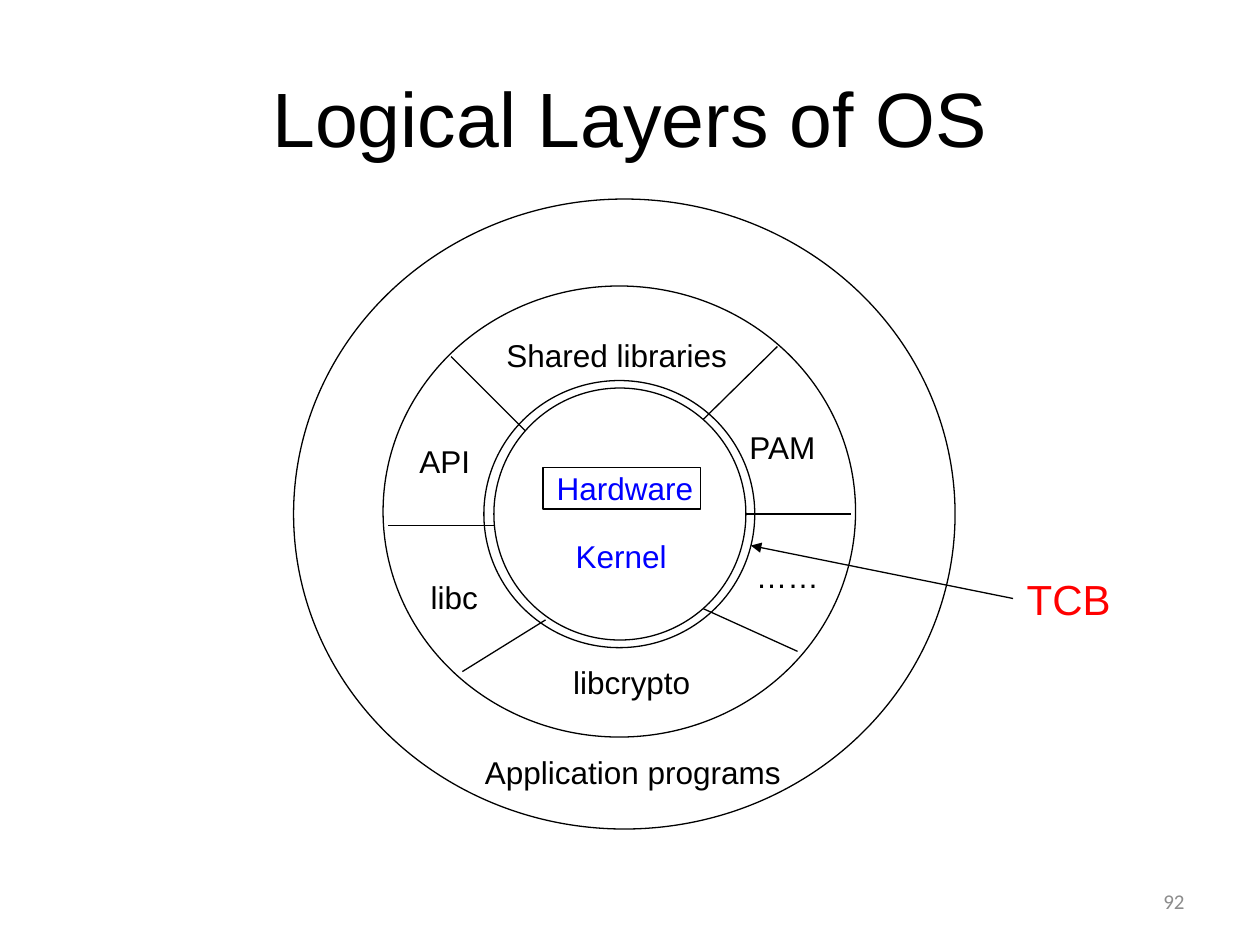
from lxml import etree
from pptx import Presentation
from pptx.dml.color import RGBColor
from pptx.enum import shapes, text
from pptx.oxml import ns
from pptx.util import Inches, Pt

THEME = {
    "font": "Arial", "number_font": "Calibri",
    "black": "000000", "blue": "0000FF", "red": "FF0000", "gray": "8C8C8C",
    "title": 44, "callout": 24, "label": 18, "number": 12, "line": 0.75,
}

TITLE = "Logical Layers of OS"
RINGS = [
    (2.33, 1.58, 5.25, 5),
    (3.04, 2.27, 3.75, 3.58),
    (3.84, 3.02, 2.15, 2.12),
    (3.92, 3.08, 2, 2),
]
HARDWARE_BOX = (4.31, 3.71, 1.25, 0.33)
DIVIDERS = [
    (3.58, 2.83, 4.17, 3.42),
    (5.58, 3.33, 6.17, 2.75),
    (3.08, 4.17, 3.92, 4.17),
    (5.92, 4.08, 6.75, 4.08),
    (4.33, 4.92, 3.67, 5.33),
    (5.58, 4.83, 6.33, 5.17),
]
TCB_ARROW = (8.04, 4.75, 5.96, 4.33)
LABELS = [
    ("Hardware", (4.32, 3.67, 1.32, 0.4), "label", "blue"),
    ("Kernel", (4.47, 4.21, 0.92, 0.4), "label", "blue"),
    ("Shared libraries", (3.92, 2.62, 1.95, 0.4), "label", "black"),
    ("API", (3.23, 3.46, 0.6, 0.4), "label", "black"),
    ("libc", (3.32, 4.54, 0.58, 0.4), "label", "black"),
    ("libcrypto", (4.45, 5.21, 1.13, 0.4), "label", "black"),
    ("PAM", (5.85, 3.35, 0.74, 0.4), "label", "black"),
    ("……", (5.9, 4.37, 0.7, 0.4), "label", "black"),
    ("Application programs", (3.75, 5.93, 2.55, 0.4), "label", "black"),
    ("TCB", (8.05, 4.5, 0.87, 0.5), "callout", "red"),
]
PAGE_NUMBER = ("92", (7.17, 6.95, 2.33, 0.4))


def inches(values):
    return [Inches(v) for v in values]


def color(name):
    return RGBColor.from_string(THEME[name])


def write(sp, words, size, ink, font="font", align=None):
    tf = sp.text_frame
    tf.text = words
    p = tf.paragraphs[0]
    p.alignment = align
    f = p.runs[0].font
    f.name, f.size, f.color.rgb = THEME[font], Pt(THEME[size]), color(ink)
    return tf


def stroke(sp):
    sp.line.color.rgb = color("black")
    sp.line.width = Pt(THEME["line"])


def add_outline(parent, kind, box):
    sp = parent.add_shape(kind, *inches(box))
    sp.shadow.inherit = False
    sp.fill.background()
    stroke(sp)


def add_line(parent, ends, arrow=False):
    sp = parent.add_connector(shapes.MSO_CONNECTOR.STRAIGHT, *inches(ends))
    stroke(sp)
    if arrow:
        etree.SubElement(sp.line._get_or_add_ln(), ns.qn("a:tailEnd"), type="triangle")
    etree.SubElement(sp._element.spPr, ns.qn("a:effectLst"))


def add_label(parent, words, box, size, ink):
    sp = parent.add_textbox(*inches(box))
    tf = write(sp, words, size, ink, align=text.PP_ALIGN.LEFT)
    tf.word_wrap = False
    tf.auto_size = text.MSO_AUTO_SIZE.SHAPE_TO_FIT_TEXT


def main():
    prs = Presentation()
    prs.slide_width, prs.slide_height = Inches(10), Inches(7.5)
    s = prs.slides.add_slide(prs.slide_layouts[5])

    title = s.shapes.title
    title.left, title.top, title.width, title.height = inches((0.5, 0.3, 9, 1.25))
    tf = write(title, TITLE, "title", "black", align=text.PP_ALIGN.CENTER)
    tf.vertical_anchor = text.MSO_ANCHOR.MIDDLE

    diagram = s.shapes.add_group_shape().shapes
    for ring in RINGS:
        add_outline(diagram, shapes.MSO_SHAPE.OVAL, ring)
    add_outline(diagram, shapes.MSO_SHAPE.RECTANGLE, HARDWARE_BOX)
    for divider in DIVIDERS:
        add_line(diagram, divider)
    add_line(diagram, TCB_ARROW, arrow=True)
    for label in LABELS:
        add_label(diagram, *label)

    words, box = PAGE_NUMBER
    number = s.shapes.add_textbox(*inches(box))
    tf = write(number, words, "number", "gray", "number_font", text.PP_ALIGN.RIGHT)
    tf.word_wrap = True
    tf.vertical_anchor = text.MSO_ANCHOR.MIDDLE

    prs.save("out.pptx")


if __name__ == "__main__":
    main()
